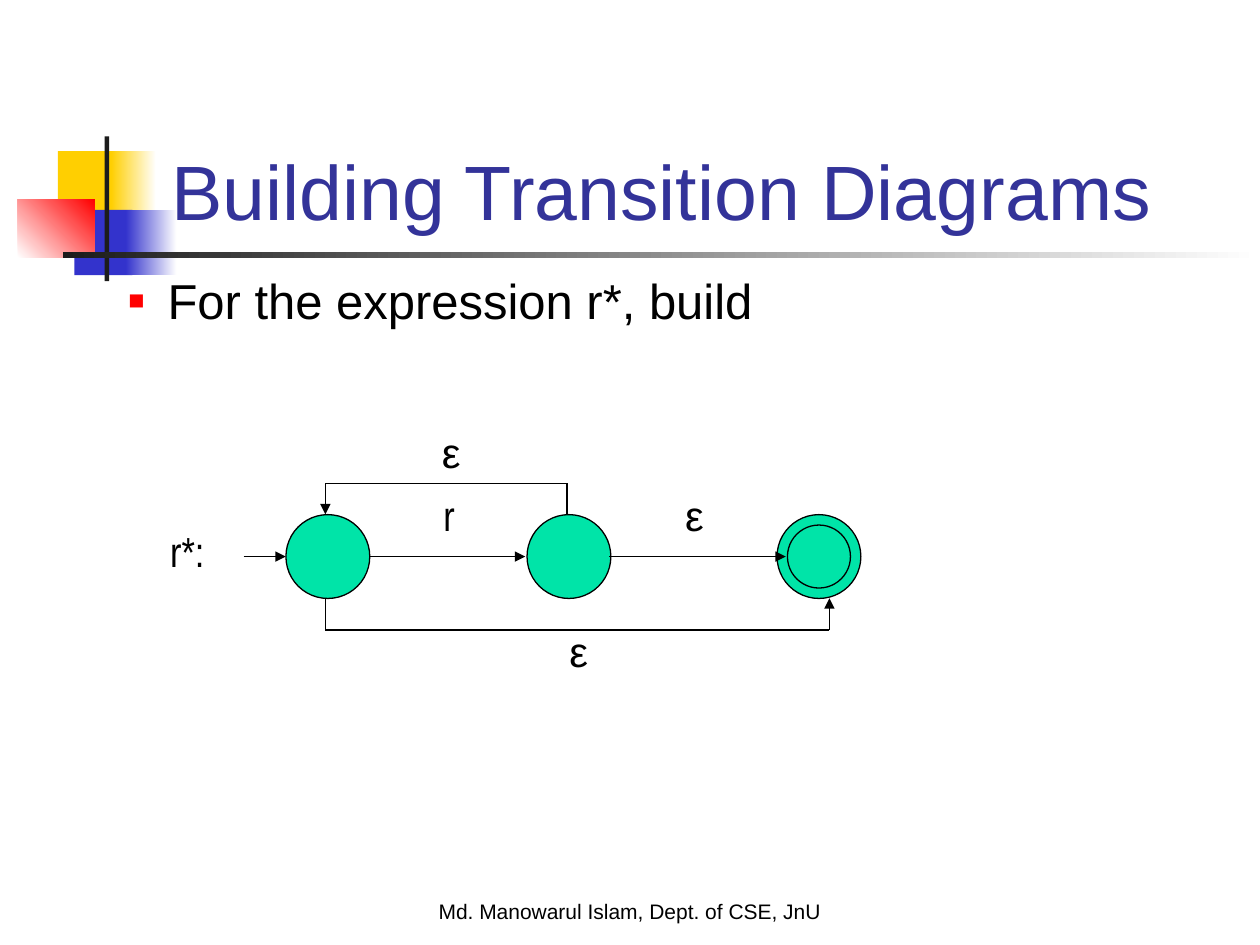
from dataclasses import dataclass
from itertools import pairwise
from typing import Optional

import pptx
import pptx.dml.color
import pptx.enum.shapes
import pptx.enum.text
import pptx.oxml.ns
import pptx.util
from lxml import etree

RGBColor = pptx.dml.color.RGBColor
Cm = pptx.util.Cm
Pt = pptx.util.Pt
Shape = pptx.enum.shapes.MSO_SHAPE
Anchor = pptx.enum.text.MSO_ANCHOR
Align = pptx.enum.text.PP_ALIGN
AutoSize = pptx.enum.text.MSO_AUTO_SIZE
qn = pptx.oxml.ns.qn

BLACK = RGBColor(0x00, 0x00, 0x00)
WHITE = RGBColor(0xFF, 0xFF, 0xFF)
YELLOW = RGBColor(0xFF, 0xCF, 0x01)
BLUE = RGBColor(0x33, 0x33, 0xCC)
RED = RGBColor(0xFF, 0x00, 0x00)
CHARCOAL = RGBColor(0x1C, 0x1C, 0x1C)
TITLE_BLUE = RGBColor(0x33, 0x33, 0x99)
STATE_GREEN = RGBColor(0x00, 0xE4, 0xA8)

STATE_Y = 11.22
STATE_SIZE = 1.69
ACCEPT_SIZE = 1.27
START_X, MIDDLE_X, ACCEPT_X = 6.61, 11.47, 16.51
STATE_TOP, STATE_BOTTOM = 10.37, 12.06


@dataclass(frozen=True)
class Block:
    """A filled rectangle, in cm; it fades to end_color when one is given."""
    left: float
    top: float
    width: float
    height: float
    color: RGBColor
    end_color: Optional[RGBColor] = None
    angle: float = 0


@dataclass(frozen=True)
class Label:
    text: str
    left: float
    top: float
    width: float
    height: float = 1.27
    size: float = 24
    font: str = "Arial"
    color: RGBColor = BLACK
    wrap: bool = False
    anchor: Anchor = Anchor.TOP
    align: Align = Align.LEFT


@dataclass(frozen=True)
class Transition:
    """A path through points in cm, with an arrowhead at its last point."""
    points: tuple[tuple[float, float], ...]


ORNAMENT = (
    Block(1.17, 3.05, 1.22, 1.32, YELLOW),
    Block(2.24, 3.05, 0.91, 1.32, YELLOW, WHITE),
    Block(1.5, 4.23, 1.17, 1.32, BLUE),
    Block(2.54, 4.23, 1.02, 1.32, BLUE, WHITE),
    Block(0.36, 4.02, 1.55, 1.17, WHITE, RED, 45),
    Block(2.11, 2.75, 0.09, 2.92, CHARCOAL),
    Block(1.27, 5.08, 24.13, 0.13, CHARCOAL, WHITE),
)

STATES = (
    (START_X, STATE_SIZE),
    (MIDDLE_X, STATE_SIZE),
    (ACCEPT_X, STATE_SIZE),
    (ACCEPT_X, ACCEPT_SIZE),
)

TRANSITIONS = (
    Transition(((4.91, STATE_Y), (5.76, STATE_Y))),
    Transition(((7.45, STATE_Y), (10.59, STATE_Y))),
    Transition(((12.28, STATE_Y), (15.84, STATE_Y))),
    Transition(((11.43, STATE_TOP), (11.43, 9.74), (6.56, 9.74), (6.56, STATE_TOP))),
    Transition(((6.56, STATE_BOTTOM), (6.56, 12.7), (16.72, 12.7), (16.72, STATE_BOTTOM))),
)

DIAGRAM_LABELS = (
    Label("r*:", 3.18, 10.46, 1.25, font="Arial Narrow"),
    Label("r", 8.69, 9.74, 0.74, font="Arial Narrow"),
    Label("ε", 13.56, 9.74, 0.86),
    Label("ε", 11.23, 12.49, 0.86),
    Label("ε", 8.66, 8.47, 0.86),
)

TITLE = Label("Building Transition Diagrams", 3.2, 1.7, 21.64, 3.18, 44,
              color=TITLE_BLUE, wrap=True, anchor=Anchor.BOTTOM)
EXPRESSION = Label("For the expression r*, build", 1.07, 5.33, 22.86, 2.29, 28, wrap=True)
FOOTER = Label("Md. Manowarul Islam, Dept. of CSE, JnU", 0, 17.98, 25.4,
               size=12, wrap=True, align=Align.CENTER)


def draw_block(slide, block: Block) -> None:
    rectangle = slide.shapes.add_shape(
        Shape.RECTANGLE, Cm(block.left), Cm(block.top), Cm(block.width), Cm(block.height))
    rectangle.shadow.inherit = False
    rectangle.line.fill.background()
    if block.end_color is None:
        rectangle.fill.solid()
        rectangle.fill.fore_color.rgb = block.color
    else:
        rectangle.fill.gradient()
        rectangle.fill.gradient_angle = block.angle
        for stop, color in zip(rectangle.fill.gradient_stops, (block.color, block.end_color)):
            stop.color.rgb = color


def draw_state(slide, center_x: float, size: float) -> None:
    state = slide.shapes.add_shape(
        Shape.OVAL, Cm(center_x - size / 2), Cm(STATE_Y - size / 2), Cm(size), Cm(size))
    state.shadow.inherit = False
    state.fill.solid()
    state.fill.fore_color.rgb = STATE_GREEN
    state.line.color.rgb = BLACK
    state.line.width = Pt(0.75)


def draw_transition(slide, transition: Transition) -> None:
    for (x1, y1), (x2, y2) in pairwise(transition.points):
        segment = slide.shapes.add_connector(
            pptx.enum.shapes.MSO_CONNECTOR.STRAIGHT, Cm(x1), Cm(y1), Cm(x2), Cm(y2))
        segment.line.color.rgb = BLACK
        segment.line.width = Pt(0.75)
        etree.SubElement(segment.element.spPr, qn("a:effectLst"))
    last_line = segment.element.spPr.find(qn("a:ln"))
    etree.SubElement(last_line, qn("a:tailEnd"), type="triangle")


def draw_label(slide, label: Label):
    """Draw the label and return its paragraph."""
    box = slide.shapes.add_textbox(
        Cm(label.left), Cm(label.top), Cm(label.width), Cm(label.height))
    frame = box.text_frame
    frame.word_wrap = label.wrap
    if not label.wrap:
        frame.auto_size = AutoSize.SHAPE_TO_FIT_TEXT
    frame.vertical_anchor = label.anchor
    paragraph = frame.paragraphs[0]
    paragraph.alignment = label.align
    run = paragraph.add_run()
    run.text = label.text
    run.font.size = Pt(label.size)
    run.font.name = label.font
    run.font.color.rgb = label.color
    return paragraph


def add_bullet(paragraph) -> None:
    properties = paragraph._p.get_or_add_pPr()
    properties.set("marL", str(Cm(2.06)))
    properties.set("indent", str(Cm(-0.79)))
    color = etree.SubElement(properties, qn("a:buClr"))
    etree.SubElement(color, qn("a:srgbClr"), val=str(RED))
    etree.SubElement(properties, qn("a:buSzPct"), val="55000")
    etree.SubElement(properties, qn("a:buFont"), typeface="Arial")
    etree.SubElement(properties, qn("a:buChar"), char="■")


def main() -> None:
    presentation = pptx.Presentation()
    presentation.slide_width = Cm(25.4)
    presentation.slide_height = Cm(19.05)
    slide = presentation.slides.add_slide(presentation.slide_layouts[6])

    for block in ORNAMENT:
        draw_block(slide, block)
    draw_label(slide, FOOTER)
    draw_label(slide, TITLE)
    add_bullet(draw_label(slide, EXPRESSION))
    for center_x, size in STATES:
        draw_state(slide, center_x, size)
    for transition in TRANSITIONS:
        draw_transition(slide, transition)
    for label in DIAGRAM_LABELS:
        draw_label(slide, label)

    presentation.save("out.pptx")


if __name__ == "__main__":
    main()
